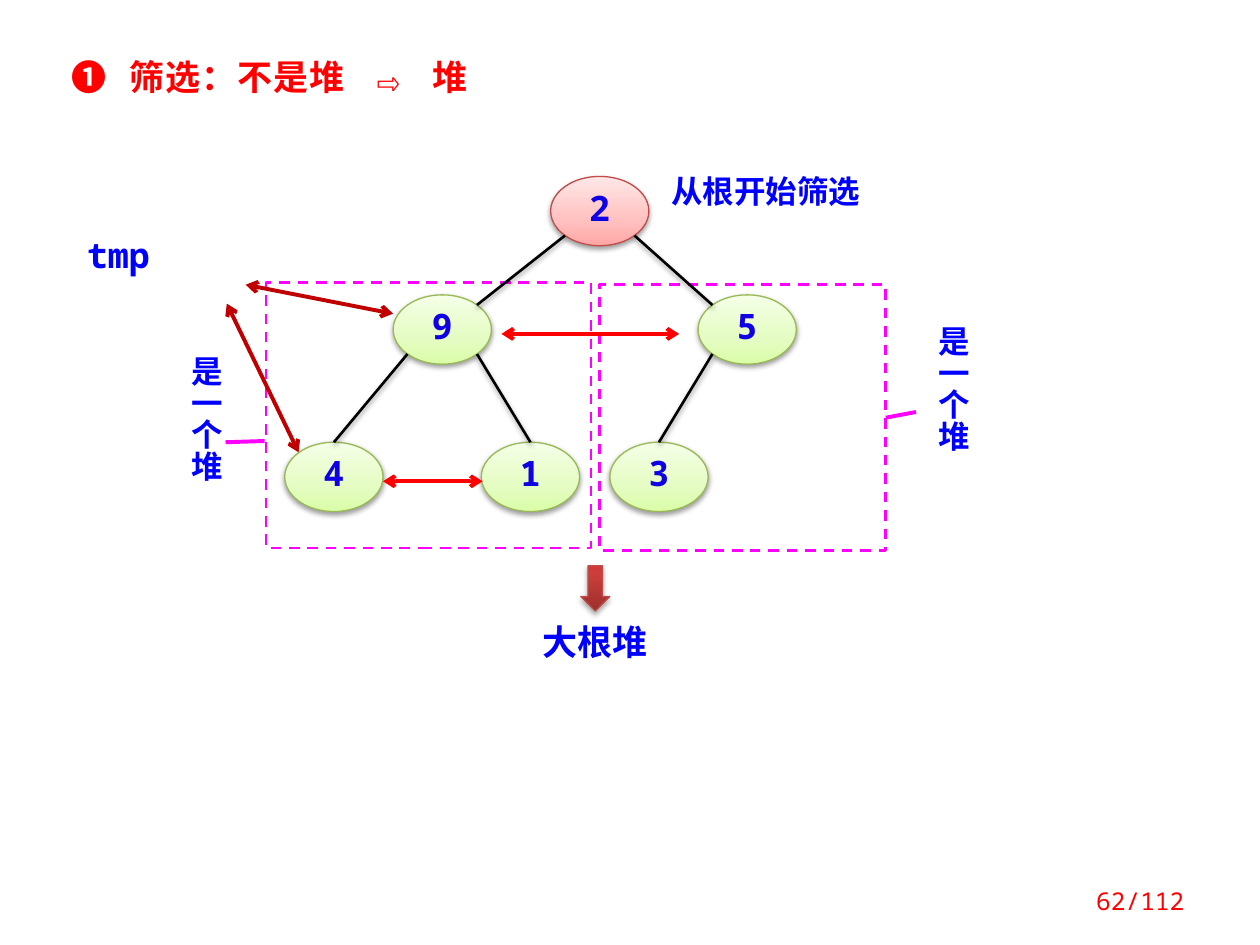
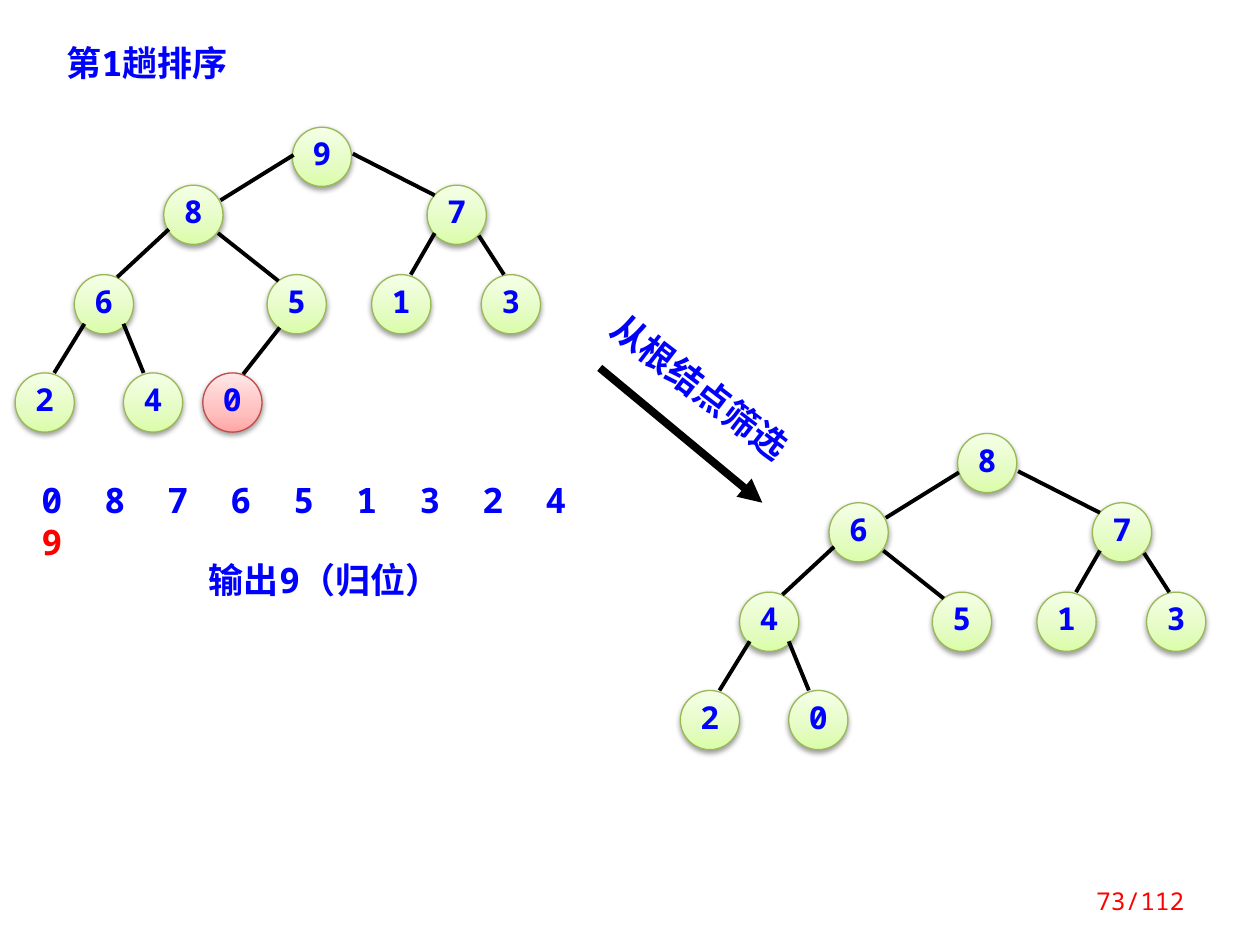
"""Build two slides on heaps: sifting down from the root, and the first pass of heap sort."""
from math import sqrt

from lxml.etree import SubElement
from pptx import Presentation
from pptx.dml.color import RGBColor
from pptx.enum.dml import MSO_LINE
from pptx.enum.shapes import MSO_CONNECTOR, MSO_SHAPE
from pptx.enum.text import MSO_ANCHOR, MSO_AUTO_SIZE, PP_ALIGN
from pptx.oxml.ns import qn
from pptx.util import Inches, Pt

COLORS = {
    "blue": "0000FF", "key": "1000E4", "red": "FF0000", "dark_red": "C00000",
    "magenta": "FF00FF", "black": "000000", "green_line": "98B955", "red_line": "BF4C48",
}
MONO, CJK = "Noto Sans Mono", "Noto Sans CJK SC"
STYLES = {
    "normal": ([(0, "DAFDA7"), (35, "E4FCC2"), (100, "F5FFE7")], "green_line"),
    "marked": ([(0, "FFA6A5"), (35, "FFC0BF"), (100, "FFE7E7")], "red_line"),
    "arrow": ([(0, "9C2F2D"), (80, "CB3E3A"), (100, "CE3B37")], "red_line"),
}
SOFT_SHADOW, ARROW_SHADOW = (38, 1.6), (35, 1.8)

OVAL_W, OVAL_H = 0.78, 0.55
SIFT_NODES = {
    "2": (4.37, 1.40), "9": (3.12, 2.34), "5": (5.54, 2.34),
    "4": (2.26, 3.51), "1": (3.82, 3.51), "3": (4.84, 3.51),
}
SIFT_EDGES = [
    ("9", "bottom_left", "4", "top"), ("9", "bottom_right", "1", "top"),
    ("5", "bottom_left", "3", "top"), ("2", "bottom_left", "9", "top_right"),
    ("2", "bottom_right", "5", "top_left"),
]
DIAGONAL = sqrt(0.5)
OVAL_SITES = {
    "top": (0, -1), "top_left": (-DIAGONAL, -DIAGONAL), "top_right": (DIAGONAL, -DIAGONAL),
    "bottom_left": (-DIAGONAL, DIAGONAL), "bottom_right": (DIAGONAL, DIAGONAL),
}
SUBHEAPS = [(2.11, 2.24, 2.58, 2.11), (4.76, 2.26, 2.27, 2.11)]
SUBHEAP_LABELS = [(1.34, 2.73, 0.44, 1.56), (7.27, 2.49, 0.44, 1.56)]
SUBHEAP_LEADERS = [(2.10, 3.50, 1.79, 3.51), (7.03, 3.31, 7.27, 3.27)]
COMPARISONS = [(3.98, 2.65, 5.39, 2.65), (3.04, 3.82, 3.83, 3.82)]
MOVES = [(1.95, 2.26, 3.12, 2.49), (1.80, 2.41, 2.37, 3.59)]

CIRCLE = 0.47
SLOTS = {
    "root": (2.32, 1.01), "left": (1.30, 1.47), "right": (3.39, 1.47),
    "left.left": (0.59, 2.18), "left.right": (2.12, 2.18),
    "right.left": (2.95, 2.18), "right.right": (3.82, 2.18),
    "left.left.left": (0.12, 2.96), "left.left.right": (0.98, 2.96),
    "left.right.left": (1.61, 2.96),
}
SLOT_EDGES = {
    "left": (2.33, 1.23, 1.75, 1.59), "right": (2.80, 1.22, 3.45, 1.55),
    "left.left": (1.34, 1.82, 0.93, 2.20), "left.right": (1.73, 1.85, 2.21, 2.23),
    "right.left": (3.45, 1.85, 3.26, 2.18), "right.right": (3.80, 1.87, 4.00, 2.18),
    "left.left.left": (0.67, 2.57, 0.43, 2.96), "left.left.right": (0.98, 2.57, 1.14, 2.96),
    "left.right.left": (2.22, 2.60, 1.93, 2.97),
}
TREES = [
    {"keys": "9876513240", "offset": (0, 0), "root_lift": 0, "marked": "0"},
    {"keys": "867451320", "offset": (5.28, 2.52), "root_lift": 0.09, "marked": None},
]
ARRAY_KEYS, OUTPUT_KEY, KEY_PITCH = "087651324", "9", 0.5


def rgb(name):
    return RGBColor.from_string(COLORS[name])


def set_effect(shape, shadow=None):
    properties = shape._element.spPr
    for old in properties.findall(qn("a:effectLst")):
        properties.remove(old)
    effects = SubElement(properties, qn("a:effectLst"))
    if shadow:
        alpha, distance = shadow
        outer = SubElement(effects, qn("a:outerShdw"), blurRad=str(Pt(3.1)),
                           dist=str(Pt(distance)), dir="5400000", rotWithShape="0")
        color = SubElement(outer, qn("a:srgbClr"), val=COLORS["black"])
        SubElement(color, qn("a:alpha"), val=str(alpha * 1000))


def format_run(run, size, color, bold=True, font=MONO, spacing=None):
    run.font.size, run.font.bold, run.font.name = Pt(size), bold, font
    run.font.color.rgb = rgb(color)
    properties = run._r.get_or_add_rPr()
    SubElement(properties, qn("a:ea"), typeface=font)
    if spacing:
        properties.set("spc", str(int(spacing * 100)))


def add_text(slide, text, box, size=20, color="blue", align=PP_ALIGN.LEFT, tight=False,
             grow=True, vertical=False, **run_style):
    shape = slide.shapes.add_textbox(*map(Inches, box))
    frame = shape.text_frame
    frame.text = text
    frame.word_wrap = True
    frame.auto_size = MSO_AUTO_SIZE.SHAPE_TO_FIT_TEXT if grow else MSO_AUTO_SIZE.NONE
    if vertical:
        frame._txBody.bodyPr.set("vert", "eaVert")
    paragraph = frame.paragraphs[0]
    paragraph.alignment = align
    if tight:
        paragraph.line_spacing = 0.8
    for run in paragraph.runs:
        format_run(run, size, color, **run_style)
    return shape


def add_label(slide, text, box, **style):
    return add_text(slide, text, box, align=PP_ALIGN.CENTER, tight=True, **style)


def add_glossy(slide, preset, box, style, shadow=SOFT_SHADOW):
    shape = slide.shapes.add_shape(preset, *map(Inches, box))
    stops, line_color = STYLES[style]
    shape.fill.gradient()
    shape.fill.gradient_angle = 90
    stop_list = shape._element.spPr.find(qn("a:gradFill")).find(qn("a:gsLst"))
    for old in list(stop_list):
        stop_list.remove(old)
    for position, color in stops:
        stop = SubElement(stop_list, qn("a:gs"), pos=str(position * 1000))
        SubElement(stop, qn("a:srgbClr"), val=color)
    shape.line.color.rgb = rgb(line_color)
    shape.line.width = Pt(0.75)
    set_effect(shape, shadow)
    return shape


def add_node(slide, key, box, style, size, color):
    frame = add_glossy(slide, MSO_SHAPE.OVAL, box, style).text_frame
    frame.text = key
    frame.word_wrap = False
    frame.vertical_anchor = MSO_ANCHOR.MIDDLE
    paragraph = frame.paragraphs[0]
    paragraph.alignment = PP_ALIGN.CENTER
    paragraph.line_spacing = 0.8
    format_run(paragraph.runs[0], size, color)


def add_line(slide, ends, color="black", width=2.25, head=None, tail=None, shadow=None):
    connector = slide.shapes.add_connector(MSO_CONNECTOR.STRAIGHT, *map(Inches, ends))
    connector.line.color.rgb = rgb(color)
    connector.line.width = Pt(width)
    line = connector.line._get_or_add_ln()
    for tag, kind in (("a:headEnd", head), ("a:tailEnd", tail)):
        if kind:
            SubElement(line, qn(tag), type=kind)
    set_effect(connector, shadow)
    return connector


def add_page_number(slide, page):
    shape = add_text(slide, f"{page}/112", (8.28, 6.95, 1.22, 0.4), size=14, color="red",
                     align=PP_ALIGN.RIGHT, grow=False, bold=False)
    shape.text_frame.vertical_anchor = MSO_ANCHOR.MIDDLE


def oval_site(key, site):
    left, top = SIFT_NODES[key]
    across, down = OVAL_SITES[site]
    return left + OVAL_W / 2 * (1 + across), top + OVAL_H / 2 * (1 + down)


def build_sift_slide(slide):
    frames = []
    for box, label_box in zip(SUBHEAPS, SUBHEAP_LABELS):
        frame = slide.shapes.add_shape(MSO_SHAPE.RECTANGLE, *map(Inches, box))
        frame.shadow.inherit = False
        frame.fill.background()
        frame.line.color.rgb = rgb("magenta")
        frame.line.width = Pt(1.5)
        frame.line.dash_style = MSO_LINE.DASH
        frames.append(frame)
        add_label(slide, "是一个堆", label_box, size=18, vertical=True)
    leaders = [add_line(slide, ends, "magenta") for ends in SUBHEAP_LEADERS]
    leaders[1].begin_connect(frames[1], 3)

    for key, corner in SIFT_NODES.items():
        style = "marked" if key == "2" else "normal"
        add_node(slide, key, (*corner, OVAL_W, OVAL_H), style, 20, "key")
    for parent, start, child, end in SIFT_EDGES:
        add_line(slide, (*oval_site(parent, start), *oval_site(child, end)),
                 width=1.5, shadow=SOFT_SHADOW)

    add_text(slide, "❶ 筛选：不是堆 ⇨ 堆", (0.47, 0.39, 3.75, 0.44), color="red", spacing=0.5)
    add_text(slide, "从根开始筛选", (5.23, 1.32, 2.03, 0.4), size=18)
    add_glossy(slide, MSO_SHAPE.DOWN_ARROW, (4.61, 4.49, 0.23, 0.36), "arrow", ARROW_SHADOW)
    add_label(slide, "大根堆", (4.06, 4.94, 1.33, 0.37))
    add_label(slide, "tmp", (0.47, 1.87, 0.94, 0.38))
    for group, color in ((COMPARISONS, "red"), (MOVES, "dark_red")):
        for ends in group:
            add_line(slide, ends, color, head="arrow", tail="arrow")


def add_tree(slide, tree):
    across, down = tree["offset"]
    slots = list(SLOTS)[:len(tree["keys"])]
    for slot, key in zip(slots, tree["keys"]):
        left, top = SLOTS[slot]
        lift = tree["root_lift"] if slot == "root" else 0
        style = "marked" if key == tree["marked"] else "normal"
        box = (left + across, top + down - lift, CIRCLE, CIRCLE)
        add_node(slide, key, box, style, 18, "blue")
    for slot in slots[1:]:
        x1, y1, x2, y2 = SLOT_EDGES[slot]
        add_line(slide, (x1 + across, y1 + down, x2 + across, y2 + down))


def add_array(slide):
    shape = add_text(slide, "\t".join(ARRAY_KEYS), (0.23, 3.75, 4.84, 0.44))
    paragraph = shape.text_frame.paragraphs[0]
    tabs = SubElement(paragraph._p.get_or_add_pPr(), qn("a:tabLst"))
    for index in range(1, len(ARRAY_KEYS)):
        SubElement(tabs, qn("a:tab"), pos=str(Inches(index * KEY_PITCH)), algn="l")
    paragraph.add_line_break()
    run = paragraph.add_run()
    run.text = OUTPUT_KEY
    format_run(run, 20, "red")


def build_sort_slide(slide):
    for tree in TREES:
        add_tree(slide, tree)
    add_text(slide, "输出9（归位）", (1.56, 4.38, 2.52, 0.44))
    add_line(slide, (4.76, 2.92, 6.05, 3.99), width=4.5, tail="triangle")
    label = add_label(slide, "从根结点筛选", (4.59, 2.91, 1.89, 0.37), font=CJK)
    label.rotation = 37.5
    add_array(slide)
    add_text(slide, "第1趟排序", (0.43, 0.28, 2.13, 0.44))


def main():
    presentation = Presentation()
    presentation.slide_width, presentation.slide_height = Inches(10), Inches(7.5)
    for build, page in ((build_sift_slide, 62), (build_sort_slide, 73)):
        slide = presentation.slides.add_slide(presentation.slide_layouts[6])
        build(slide)
        add_page_number(slide, page)
    presentation.save("out.pptx")


if __name__ == "__main__":
    main()
